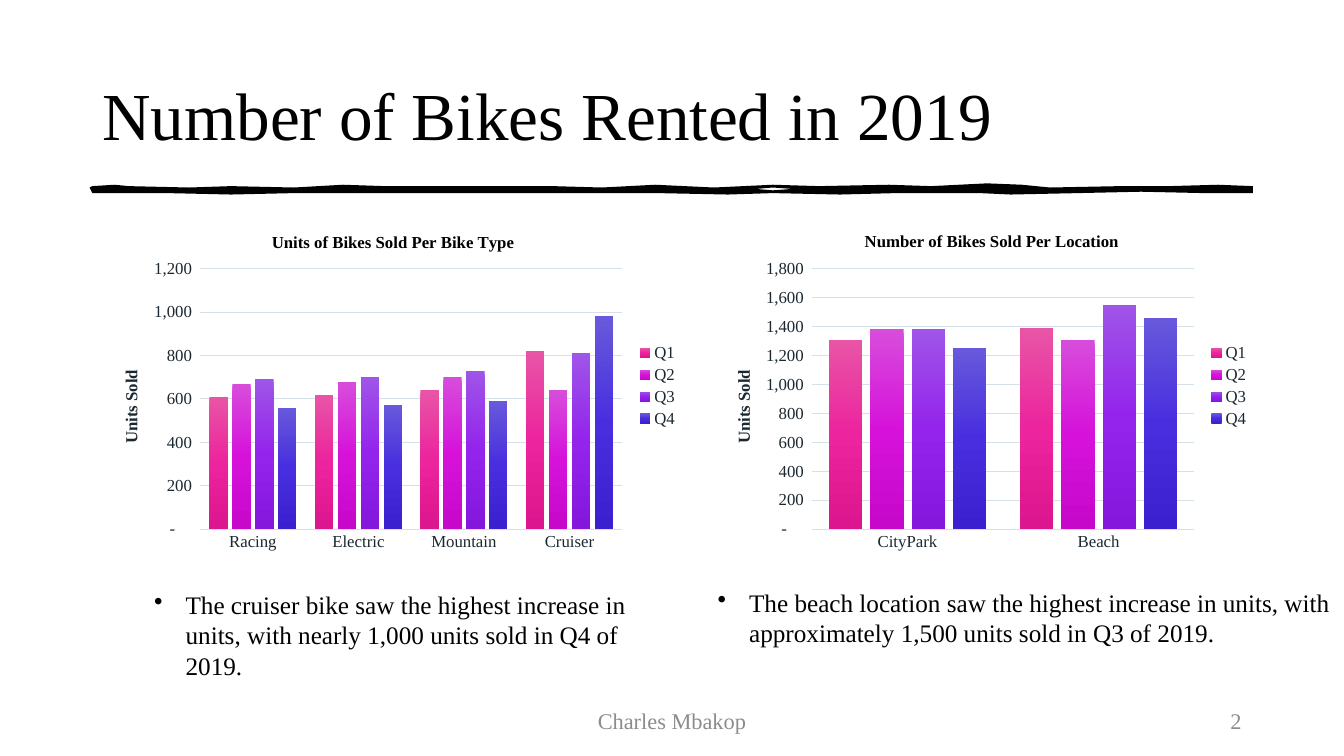
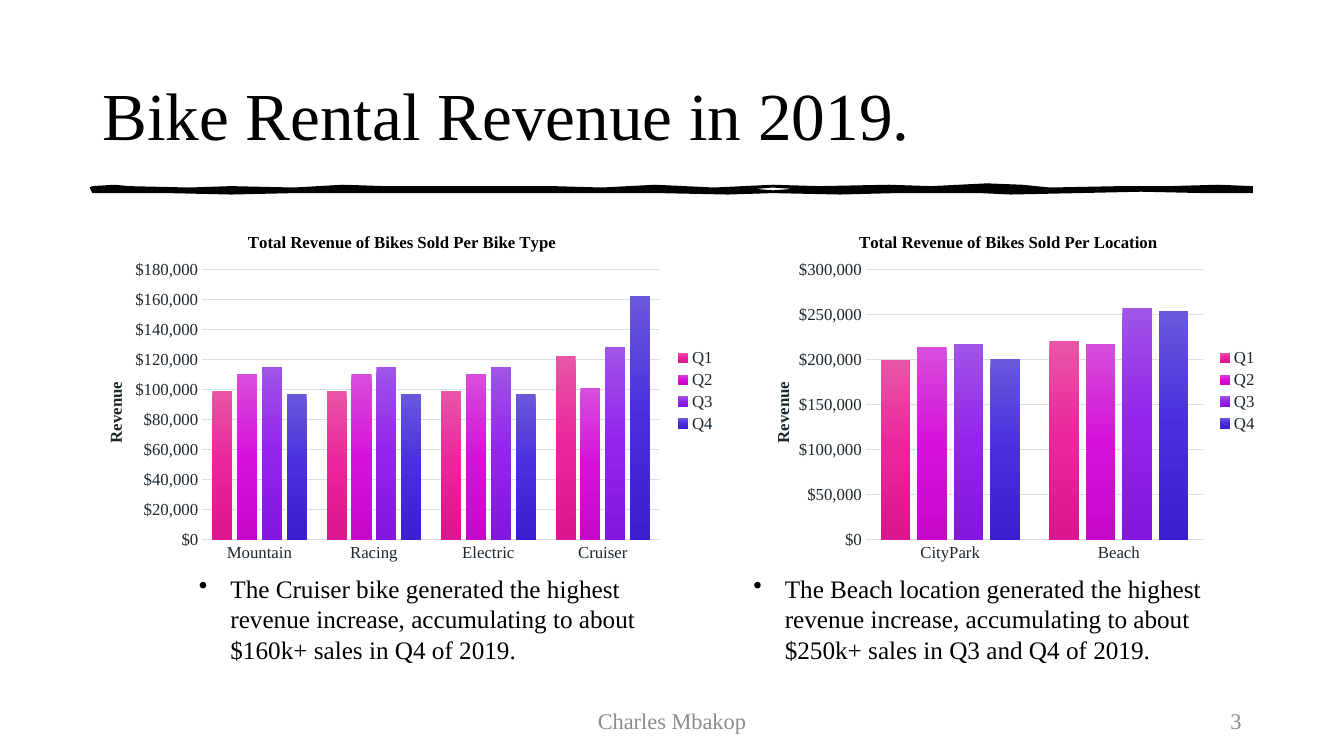
"""Build two slides of bike rental charts for 2019."""
from copy import deepcopy

from pptx import Presentation
from pptx.chart.data import CategoryChartData
from pptx.dml.color import RGBColor
from pptx.enum.chart import XL_CHART_TYPE, XL_LEGEND_POSITION, XL_TICK_MARK
from pptx.enum.text import MSO_ANCHOR, PP_ALIGN
from pptx.oxml import parse_xml
from pptx.oxml.ns import nsdecls
from pptx.oxml.xmlchemy import OxmlElement
from pptx.util import Pt

BLACK = RGBColor(0x00, 0x00, 0x00)
GRAY = RGBColor(0x8C, 0x8C, 0x8C)
SLATE = RGBColor(0x1B, 0x28, 0x30)
GRID = RGBColor(0xD5, 0xE1, 0xE8)
FONT = "Times New Roman"
QUARTERS = {
    "Q1": (RGBColor(0xE8, 0x55, 0xA6), RGBColor(0xEC, 0x24, 0x9D), RGBColor(0xDC, 0x16, 0x8E)),
    "Q2": (RGBColor(0xD7, 0x4D, 0xDB), RGBColor(0xD6, 0x12, 0xDA), RGBColor(0xC6, 0x08, 0xCA)),
    "Q3": (RGBColor(0x9F, 0x55, 0xE8), RGBColor(0x94, 0x24, 0xEC), RGBColor(0x85, 0x16, 0xDC)),
    "Q4": (RGBColor(0x68, 0x59, 0xDC), RGBColor(0x48, 0x2E, 0xDE), RGBColor(0x3A, 0x20, 0xCE)),
}
UNITS = '_(* #,##0_);_(* \\(#,##0\\);_(* "-"??_);_(@_)'
DOLLARS = '"$"#,##0'

BRUSH_TOP = [
    (64.5, 134), (66, 133), (82, 132.3), (92, 133), (135, 133.6), (165, 133), (210, 133.6),
    (245, 132.5), (275, 133.2), (310, 132.8), (350, 133.4), (395, 132.8), (430, 133.5),
    (468, 132.4), (510, 133.5), (552, 132), (585, 133.4), (635, 132.3), (665, 133),
    (705, 131.4), (730, 132), (750, 133.5), (800, 132.6), (835, 133.4), (870, 132.5), (895, 133.2),
]
BRUSH_BOTTOM = [
    (895, 137.5), (860, 138), (815, 137.3), (770, 138), (722, 139), (700, 138.3), (640, 138.2),
    (600, 139.2), (552, 138.2), (520, 139), (470, 137.6), (430, 138.3), (380, 137.8),
    (330, 138.5), (290, 137.8), (245, 138.5), (210, 137.8), (165, 138.8), (120, 137.8), (66, 138),
]
BRUSH_GAP = [(540, 135), (552, 136.3), (566, 135.2), (552, 134.2)]

SLIDES = [
    {
        "title": "Number of Bikes Rented in 2019",
        "axis": "Units Sold",
        "format": UNITS,
        "charts": [
            {
                "title": "Units of Bikes Sold Per Bike Type",
                "frame": (66, 152, 426, 247), "plot": (143, 192, 301.5, 186),
                "title_at": (192, 163.5), "axis_at": (84, 262), "scale": (1200, 200),
                "categories": ["Racing", "Electric", "Mountain", "Cruiser"],
                "values": [(610, 620, 640, 820), (670, 680, 700, 640),
                           (690, 700, 730, 810), (560, 570, 590, 980)],
            },
            {
                "title": "Number of Bikes Sold Per Location",
                "frame": (503, 152, 397, 247), "plot": (580, 192, 273, 186),
                "title_at": (615.5, 162.5), "axis_at": (521.5, 262), "scale": (1800, 200),
                "categories": ["CityPark", "Beach"],
                "values": [(1310, 1390), (1380, 1310), (1380, 1550), (1250, 1460)],
            },
        ],
        "notes": [
            ((103, 417.5, 352, 73), "The cruiser bike saw the highest increase in units, "
             "with nearly 1,000 units sold in Q4 of 2019."),
            ((505.5, 416, 480, 51), "The beach location saw the highest increase in units, "
             "with approximately 1,500 units sold in Q3 of 2019."),
        ],
    },
    {
        "title": "Bike Rental Revenue in 2019.",
        "axis": "Revenue",
        "format": DOLLARS,
        "charts": [
            {
                "title": "Total Revenue of Bikes Sold Per Bike Type",
                "frame": (55, 152, 464, 254), "plot": (144.5, 192.5, 327, 193),
                "title_at": (175, 163.5), "axis_at": (73, 270.5), "scale": (180000, 20000),
                "categories": ["Mountain", "Racing", "Electric", "Cruiser"],
                "values": [(99000, 99000, 99000, 122000), (110000, 110000, 110000, 101000),
                           (115000, 115000, 115000, 128000), (97000, 97000, 97000, 162000)],
            },
            {
                "title": "Total Revenue of Bikes Sold Per Location",
                "frame": (531, 152, 375, 254), "plot": (618.5, 192.5, 241, 193),
                "title_at": (611.5, 163.5), "axis_at": (549.5, 270.5), "scale": (300000, 50000),
                "categories": ["CityPark", "Beach"],
                "values": [(199000, 220000), (214000, 217000), (217000, 257000), (200000, 254000)],
            },
        ],
        "notes": [
            ((135, 406, 329, 73), "The Cruiser bike generated the highest revenue increase, "
             "accumulating to about $160k+ sales in Q4 of 2019."),
            ((531, 406, 385, 73), "The Beach location generated the highest revenue increase, "
             "accumulating to about $250k+ sales in Q3 and Q4 of 2019."),
        ],
    },
]


def add_text(page, frame, text, size, color, align=PP_ALIGN.LEFT, anchor=MSO_ANCHOR.MIDDLE):
    """Add a one-paragraph text box and return its paragraph."""
    box = page.shapes.add_textbox(*map(Pt, frame))
    box.text_frame.word_wrap = True
    box.text_frame.vertical_anchor = anchor
    para = box.text_frame.paragraphs[0]
    para.text = text
    para.alignment = align
    para.font.name, para.font.size, para.font.color.rgb = FONT, Pt(size), color
    return para


def set_layout(element, frame, place):
    """Fix a chart part at a place on the slide, as fractions of the chart frame."""
    left, top, width, height = frame
    parts = [("x", (place[0] - left) / width), ("y", (place[1] - top) / height)]
    modes = '<c:xMode val="edge"/><c:yMode val="edge"/>'
    if len(place) == 4:
        modes = '<c:layoutTarget val="inner"/>' + modes
        parts += [("w", place[2] / width), ("h", place[3] / height)]
    sizes = "".join(f'<c:{name} val="{value:.4f}"/>' for name, value in parts)
    for old in element.xpath("c:layout"):
        element.remove(old)
    layout = parse_xml(f'<c:layout {nsdecls("c")}><c:manualLayout>{modes}{sizes}'
                       "</c:manualLayout></c:layout>")
    element.insert(len(element.xpath("c:tx")), layout)


deck = Presentation()
deck.slide_width, deck.slide_height = Pt(960), Pt(540)

for number, content in enumerate(SLIDES, start=2):
    page = deck.slides.add_slide(deck.slide_layouts[6])

    builder = page.shapes.build_freeform(*BRUSH_TOP[0], scale=Pt(1))
    builder.add_line_segments(BRUSH_TOP[1:] + BRUSH_BOTTOM)
    builder.move_to(*BRUSH_GAP[0])
    builder.add_line_segments(BRUSH_GAP[1:])
    brush = builder.convert_to_shape()
    brush.shadow.inherit = False
    brush.fill.solid()
    brush.fill.fore_color.rgb = BLACK
    brush.line.fill.background()

    add_text(page, (66, 29, 828, 104), content["title"], 48, BLACK)

    for item in content["charts"]:
        data = CategoryChartData(number_format=content["format"])
        data.categories = item["categories"]
        for quarter, values in zip(QUARTERS, item["values"]):
            data.add_series(quarter, values)
        frame = item["frame"]
        chart = page.shapes.add_chart(XL_CHART_TYPE.COLUMN_CLUSTERED, *map(Pt, frame), data).chart
        chart.font.name, chart.font.size, chart.font.color.rgb = FONT, Pt(12), SLATE

        category_axis, value_axis = chart.category_axis, chart.value_axis
        for owner, text, color, place in [
            (chart, item["title"], BLACK, item["title_at"]),
            (value_axis, content["axis"], SLATE, item["axis_at"]),
        ]:
            owner.has_title = True
            title = owner.chart_title if owner is chart else owner.axis_title
            para = title.text_frame.paragraphs[0]
            para.text = text
            para.font.name, para.font.size = FONT, Pt(12)
            para.font.bold, para.font.color.rgb = True, color
            set_layout(title._element, frame, place)
        value_axis.axis_title.text_frame._txBody.bodyPr.set("rot", "-5400000")

        for axis in (category_axis, value_axis):
            axis.major_tick_mark = axis.minor_tick_mark = XL_TICK_MARK.NONE
        value_axis.minimum_scale = 0
        value_axis.maximum_scale, value_axis.major_unit = item["scale"]
        value_axis.tick_labels.number_format = content["format"]
        value_axis.tick_labels.number_format_is_linked = False
        value_axis.format.line.fill.background()
        for line in (category_axis.format.line, value_axis.major_gridlines.format.line):
            line.color.rgb, line.width = GRID, Pt(0.75)

        chart.has_legend = True
        chart.legend.position = XL_LEGEND_POSITION.RIGHT
        chart.legend.include_in_layout = False

        plot = chart.plots[0]
        plot.vary_by_categories = False
        plot.gap_width, plot.overlap = 100, -24
        set_layout(chart._chartSpace.chart.plotArea, frame, item["plot"])
        for series, colors in zip(plot.series, QUARTERS.values()):
            fill = series.format.fill
            fill.gradient()
            fill.gradient_angle = 270
            stop_list = series._element.xpath(".//a:gsLst")[0]
            stop_list.append(deepcopy(stop_list[-1]))
            for stop, color, position in zip(fill.gradient_stops, colors, (0, 0.5, 1)):
                stop.color.rgb, stop.position = color, position

    for frame, text in content["notes"]:
        para = add_text(page, frame, text, 18, BLACK, anchor=MSO_ANCHOR.TOP)
        properties = para._p.get_or_add_pPr()
        properties.set("marL", str(Pt(22.5)))
        properties.set("indent", str(-Pt(22.5)))
        bullet = OxmlElement("a:buChar")
        bullet.set("char", "•")
        properties.insert_element_before(bullet, "a:tabLst", "a:defRPr", "a:extLst")

    add_text(page, (318, 500.5, 324, 29), "Charles Mbakop", 16, GRAY, PP_ALIGN.CENTER)
    add_text(page, (678, 500.5, 216, 29), str(number), 16, GRAY, PP_ALIGN.RIGHT)

deck.save("out.pptx")
